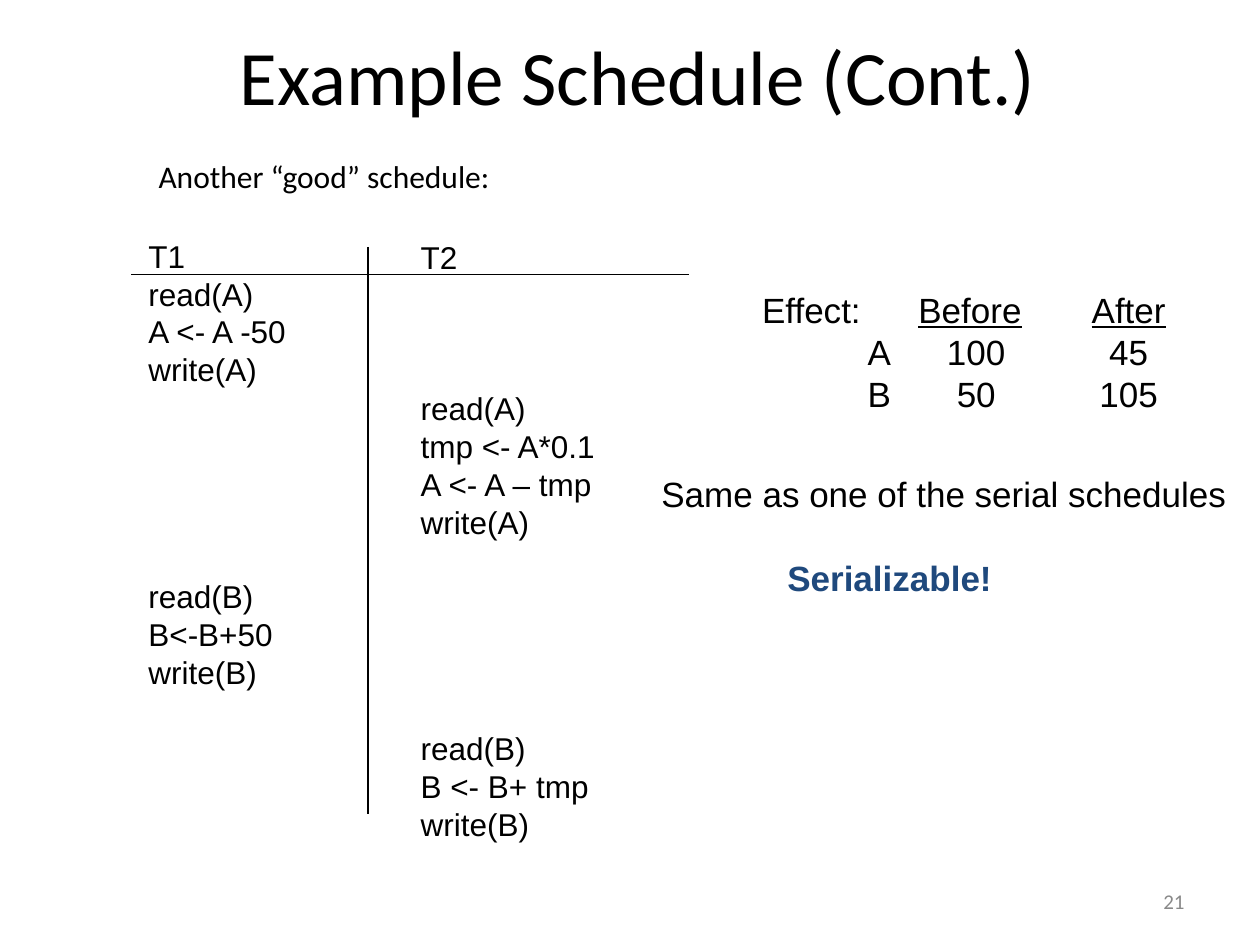
from lxml.etree import SubElement
from pptx import Presentation
from pptx.dml.color import RGBColor
from pptx.enum.shapes import MSO_CONNECTOR as Connector
from pptx.enum.text import MSO_ANCHOR as Anchor, PP_ALIGN as Align
from pptx.oxml.ns import qn
from pptx.util import Inches, Pt

BLACK = RGBColor(0x00, 0x00, 0x00)
BLUE = RGBColor(0x1F, 0x49, 0x7D)
GRAY = RGBColor(0x89, 0x89, 0x89)
LEADING = 1.2


def add_box(page, left, top, width, height, anchor=Anchor.TOP):
    box = page.shapes.add_textbox(
        Inches(left), Inches(top), Inches(width), Inches(height)
    )
    frame = box.text_frame
    frame.word_wrap = True
    frame.vertical_anchor = anchor
    return frame


def style(para, size, font="Arial", color=BLACK, bold=False):
    for span in para.runs:
        span.font.name = font
        span.font.size = Pt(size)
        span.font.color.rgb = color
        span.font.bold = bold


def add_label(page, place, text, size, color=BLACK, align=Align.LEFT, anchor=Anchor.MIDDLE):
    frame = add_box(page, *place, anchor)
    frame.text = text
    para = frame.paragraphs[0]
    para.alignment = align
    style(para, size, "Calibri", color)
    return para


def add_lines(frame, lines, size, skipped=0):
    for index, line in enumerate(lines):
        first = frame.paragraphs[0]
        para = frame.add_paragraph() if first.runs else first
        para.text = line
        para.line_spacing = Pt(size * LEADING)
        if index == 0 and skipped:
            para.space_before = Pt(size * LEADING * skipped)
        style(para, size)


def add_transaction(page, place, name, steps):
    frame = add_box(page, *place)
    add_lines(frame, [name], 18)
    for skipped, lines in steps:
        add_lines(frame, lines, 18, skipped)


def set_tabs(para, stops):
    tab_list = SubElement(para._p.get_or_add_pPr(), qn("a:tabLst"))
    for stop in stops:
        SubElement(tab_list, qn("a:tab"), pos=str(Inches(stop)), algn="ctr")


def add_effect(page):
    frame = add_box(page, 5.95, 2.24, 3.8, 1.44)
    add_lines(frame, ["Effect:", "\tA\t100\t45", "\tB\t50\t105"], 20)
    header, *rows = frame.paragraphs
    for heading in ("Before", "After"):
        header.add_run().text = "\t"
        span = header.add_run()
        span.text = heading
        span.font.underline = True
    style(header, 20)
    set_tabs(header, (1.65, 2.91))
    for row in rows:
        set_tabs(row, (0.93, 1.7, 2.91))


def add_conclusion(page):
    frame = add_box(page, 5.15, 3.7, 4.75, 1.1)
    add_lines(frame, ["Same as one of the serial schedules"], 20)
    add_lines(frame, ["Serializable!"], 20, skipped=1)
    verdict = frame.paragraphs[1]
    verdict._p.get_or_add_pPr().set("marL", str(Inches(1)))
    style(verdict, 20, color=BLUE, bold=True)


def add_rule(page, *ends):
    rule = page.shapes.add_connector(Connector.STRAIGHT, *map(Inches, ends))
    rule.line.color.rgb = BLACK
    rule.line.width = Pt(0.75)
    SubElement(rule._element.spPr, qn("a:effectLst"))


def main():
    deck = Presentation()
    deck.slide_width, deck.slide_height = Inches(10), Inches(7.5)
    page = deck.slides.add_slide(deck.slide_layouts[6])

    add_label(page, (0.65, 0.1, 8.83, 0.98), "Example Schedule (Cont.)", 44, align=Align.CENTER)
    intro = add_label(
        page, (1.16, 1.23, 7.35, 0.62), "Another “good” schedule:", 18, anchor=Anchor.TOP
    )
    intro.line_spacing = 0.9
    intro.space_before = Pt(4.5)

    add_transaction(page, (1.08, 1.83, 1.6, 3.7), "T1", [
        (0, ["read(A)", "A <- A -50", "write(A)"]),
        (5, ["read(B)", "B<-B+50", "write(B)"]),
    ])
    add_transaction(page, (3.24, 1.84, 1.75, 4.9), "T2", [
        (3, ["read(A)", "tmp <- A*0.1", "A <- A – tmp", "write(A)"]),
        (5, ["read(B)", "B <- B+ tmp", "write(B)"]),
    ])
    add_rule(page, 1.04, 2.18, 5.47, 2.18)
    add_rule(page, 2.92, 1.96, 2.92, 6.46)

    add_effect(page)
    add_conclusion(page)
    add_label(page, (7.17, 6.95, 2.33, 0.4), "21", 12, GRAY, Align.RIGHT)
    deck.save("out.pptx")


if __name__ == "__main__":
    main()
